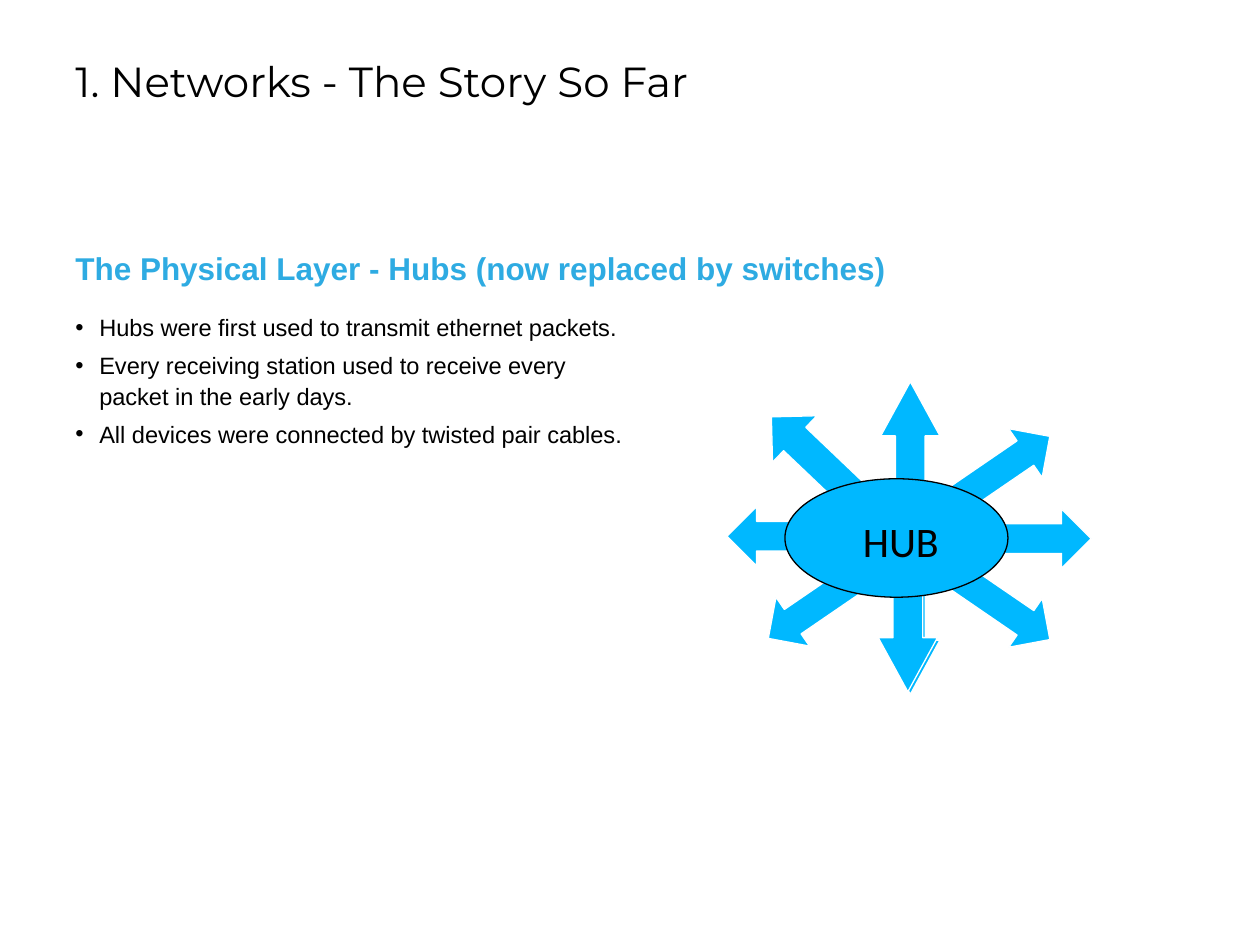
from lxml import etree
from pptx import Presentation
from pptx import util as u
from pptx.dml.color import RGBColor
from pptx.enum import shapes, text
from pptx.oxml import ns

COLORS = {"black": "000000", "white": "FFFFFF", "heading": "2EABE2", "hub": "00B8FF"}

BULLETS = [
    "Hubs were first used to transmit ethernet packets.",
    "Every receiving station used to receive every packet in the early days.",
    "All devices were connected by twisted pair cables.",
]

ARROW_WIDTH, ARROW_HEIGHT = 0.89, 0.47
LONG_HEAD = 0.913
# Left, top, clockwise rotation, height, head length
ARROWS = [
    (7.77, 4.04, 0, ARROW_HEIGHT, 0.5),
    (7.52, 3.48, 325.6, ARROW_HEIGHT, 0.5),
    (6.78, 3.24, 270, ARROW_HEIGHT, LONG_HEAD),
    (7.52, 4.59, 34.4, ARROW_HEIGHT, 0.5),
    (6.78, 4.83, 90, ARROW_HEIGHT, LONG_HEAD),
    (5.77, 4.02, 180, ARROW_HEIGHT, 0.5),
    (6.02, 4.58, 145.6, ARROW_HEIGHT, 0.5),
    (6.76, 4.81, 90, ARROW_HEIGHT, LONG_HEAD),
    (6.00, 3.36, 223.6, 0.51, 0.5),
]


def color(name):
    return RGBColor.from_string(COLORS[name])


def add_bullet(paragraph, indent=0.19):
    properties = paragraph._p.get_or_add_pPr()
    properties.set("marL", str(u.Inches(indent)))
    properties.set("indent", str(u.Inches(-indent)))
    etree.SubElement(properties, ns.qn("a:buFont")).set("typeface", "Arial")
    etree.SubElement(properties, ns.qn("a:buChar")).set("char", "•")


def add_text(parent, box, lines, *, size, font="Arial", fill="black", bold=False,
             bullets=False, space_after=0, line_spacing=None, wrap=True):
    shape = parent.add_textbox(*map(u.Inches, box))
    frame = shape.text_frame
    frame.word_wrap = wrap
    frame.auto_size = text.MSO_AUTO_SIZE.NONE
    for index, line in enumerate(lines):
        paragraph = frame.add_paragraph() if index else frame.paragraphs[0]
        if bullets:
            add_bullet(paragraph)
        paragraph.space_after = u.Pt(space_after)
        if line_spacing:
            paragraph.line_spacing = line_spacing
        run = paragraph.add_run()
        run.text = line
        run.font.name = font
        run.font.size = u.Pt(size)
        run.font.bold = bold
        run.font.color.rgb = color(fill)
    return shape


def add_hub_shape(parent, kind, box, line):
    shape = parent.add_shape(kind, *map(u.Inches, box))
    shape.shadow.inherit = False
    shape.fill.solid()
    shape.fill.fore_color.rgb = color("hub")
    shape.line.color.rgb = color(line)
    shape.line.width = u.Pt(0.75)
    return shape


def add_hub_diagram(slide):
    parts = slide.shapes.add_group_shape().shapes
    for left, top, rotation, height, head in ARROWS:
        arrow = add_hub_shape(parts, shapes.MSO_SHAPE.RIGHT_ARROW,
                              (left, top, ARROW_WIDTH, height), "white")
        arrow.rotation = rotation
        arrow.adjustments[1] = head
    add_hub_shape(parts, shapes.MSO_SHAPE.OVAL, (6.23, 3.8, 1.77, 0.94), "black")
    add_text(parts, (6.75, 4.04, 0.81, 0.5), ["HUB"], size=24, font="Calibri", wrap=False)


def main():
    presentation = Presentation()
    presentation.slide_width = u.Inches(10)
    presentation.slide_height = u.Inches(7.5)
    slide = presentation.slides.add_slide(presentation.slide_layouts[6])

    # Title, bullets and heading
    add_text(slide.shapes, (0.5, 0.39, 9.02, 0.5), ["1. Networks - The Story So Far"],
             size=24, font="Montserrat")
    add_text(slide.shapes, (0.5, 2.42, 4.54, 1.38), BULLETS, size=13.5,
             bullets=True, space_after=4.5, line_spacing=1.07)
    add_text(slide.shapes, (0.5, 1.91, 8.64, 0.4),
             ["The Physical Layer - Hubs (now replaced by switches)"],
             size=18, fill="heading", bold=True, space_after=4.5, line_spacing=1.07)

    # Hub with arrows in all directions
    add_hub_diagram(slide)

    presentation.save("out.pptx")


if __name__ == "__main__":
    main()
